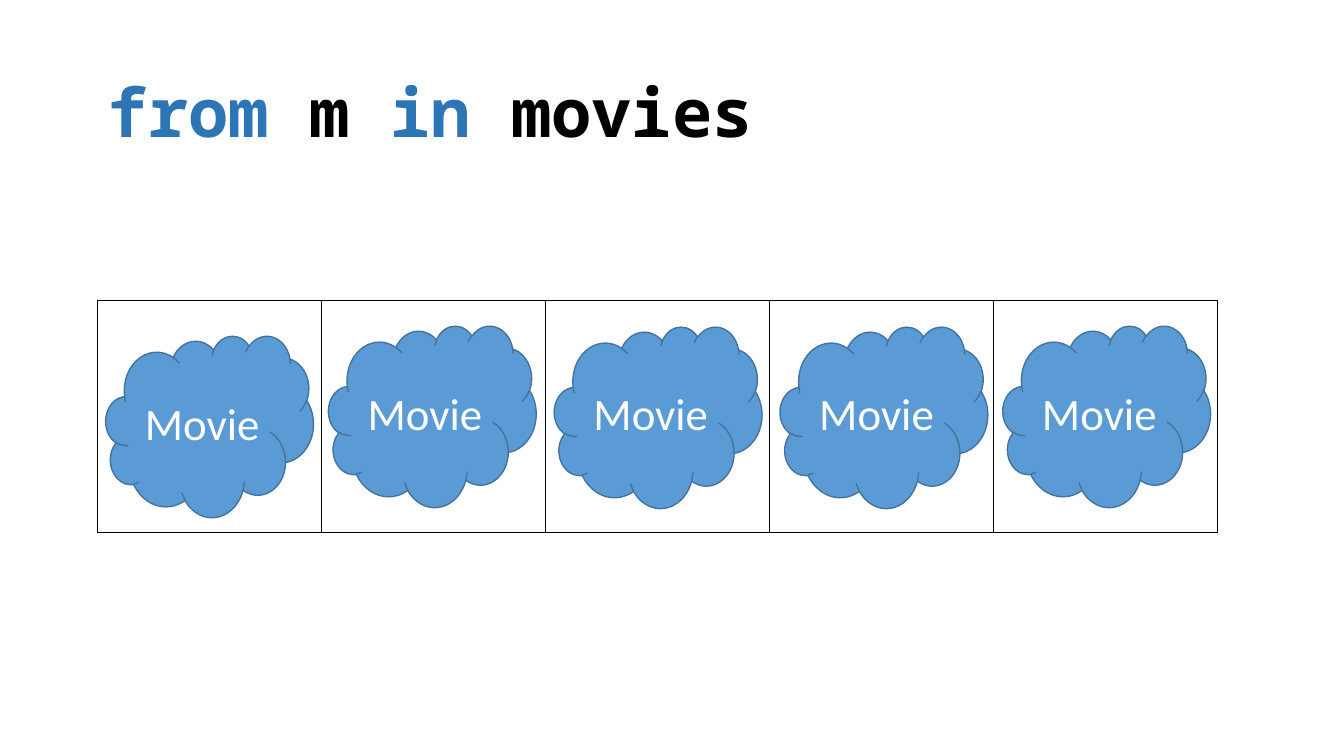
from dataclasses import dataclass

import pptx
import pptx.dml.color
import pptx.enum.shapes
import pptx.enum.text
import pptx.oxml
import pptx.oxml.ns
import pptx.util

Pt = pptx.util.Pt
COLORS = {
    "keyword": "2E75B6",
    "text": "000000",
    "border": "000000",
    "cloud": "5B9BD5",
    "outline": "43739E",
    "label": "FFFFFF",
}
TITLE_FONT = {"name": "Noto Sans Mono", "size": Pt(48), "bold": True}
LABEL_FONT = {"name": "Calibri", "size": Pt(32), "bold": False}
LEFT = 69.84
CELL_WIDTH = 160
ROW_HEIGHT = 165.6


@dataclass
class Cloud:
    left: float
    top: float
    label: str = "Movie"
    width: float = 148.3
    height: float = 129.6


@dataclass
class Token:
    text: str
    color: str


CLOUDS = [
    Cloud(75.6, 239.8),
    Cloud(234.7, 232.6),
    Cloud(396, 233.3),
    Cloud(557.3, 233.3),
    Cloud(716.4, 232.6),
]
QUERY = [
    Token("from", "keyword"),
    Token(" m ", "text"),
    Token("in", "keyword"),
    Token(" movies", "text"),
]


def rgb(name: str) -> pptx.dml.color.RGBColor:
    return pptx.dml.color.RGBColor.from_string(COLORS[name])


def add_run(p, text: str, color: str, formats: dict) -> None:
    r = p.add_run()
    r.text = text
    for key, value in formats.items():
        setattr(r.font, key, value)
    r.font.color.rgb = rgb(color)


def fill_title(sp, tokens: list[Token]) -> None:
    box = {"left": Pt(LEFT), "top": Pt(53.3), "width": Pt(828), "height": Pt(92.9)}
    for key, value in box.items():
        setattr(sp, key, value)
    tf = sp.text_frame
    tf.auto_size = pptx.enum.text.MSO_AUTO_SIZE.NONE
    tf.vertical_anchor = pptx.enum.text.MSO_ANCHOR.TOP
    p = tf.paragraphs[0]
    p.alignment = pptx.enum.text.PP_ALIGN.LEFT
    p.line_spacing = 0.9
    for token in tokens:
        add_run(p, token.text, token.color, TITLE_FONT)


def border_cell(cell) -> None:
    tc_pr = cell._tc.get_or_add_tcPr()
    for side in ("lnL", "lnR", "lnT", "lnB"):
        tc_pr.append(pptx.oxml.parse_xml(
            f'<a:{side} {pptx.oxml.ns.nsdecls("a")} w="{Pt(1)}"><a:solidFill>'
            f'<a:srgbClr val="{COLORS["border"]}"/></a:solidFill></a:{side}>'
        ))
    cell.fill.background()


def add_cells(s, count: int) -> None:
    table = s.shapes.add_table(
        1, count, Pt(LEFT), Pt(214.6), Pt(CELL_WIDTH * count), Pt(ROW_HEIGHT)
    ).table
    table.first_row = False
    table.horz_banding = False
    for cell in table.iter_cells():
        border_cell(cell)


def add_cloud(s, cloud: Cloud) -> None:
    sp = s.shapes.add_shape(
        pptx.enum.shapes.MSO_SHAPE.CLOUD,
        Pt(cloud.left), Pt(cloud.top), Pt(cloud.width), Pt(cloud.height),
    )
    sp.shadow.inherit = False
    sp.fill.solid()
    sp.fill.fore_color.rgb = rgb("cloud")
    sp.line.color.rgb = rgb("outline")
    sp.line.width = Pt(1)
    tf = sp.text_frame
    tf.vertical_anchor = pptx.enum.text.MSO_ANCHOR.MIDDLE
    p = tf.paragraphs[0]
    p.alignment = pptx.enum.text.PP_ALIGN.CENTER
    add_run(p, cloud.label, "label", LABEL_FONT)


def main() -> None:
    prs = pptx.Presentation()
    prs.slide_width = Pt(960)
    prs.slide_height = Pt(540)
    s = prs.slides.add_slide(prs.slide_layouts[5])
    fill_title(s.shapes.title, QUERY)
    add_cells(s, len(CLOUDS))
    for cloud in CLOUDS:
        add_cloud(s, cloud)
    prs.save("out.pptx")


if __name__ == "__main__":
    main()
